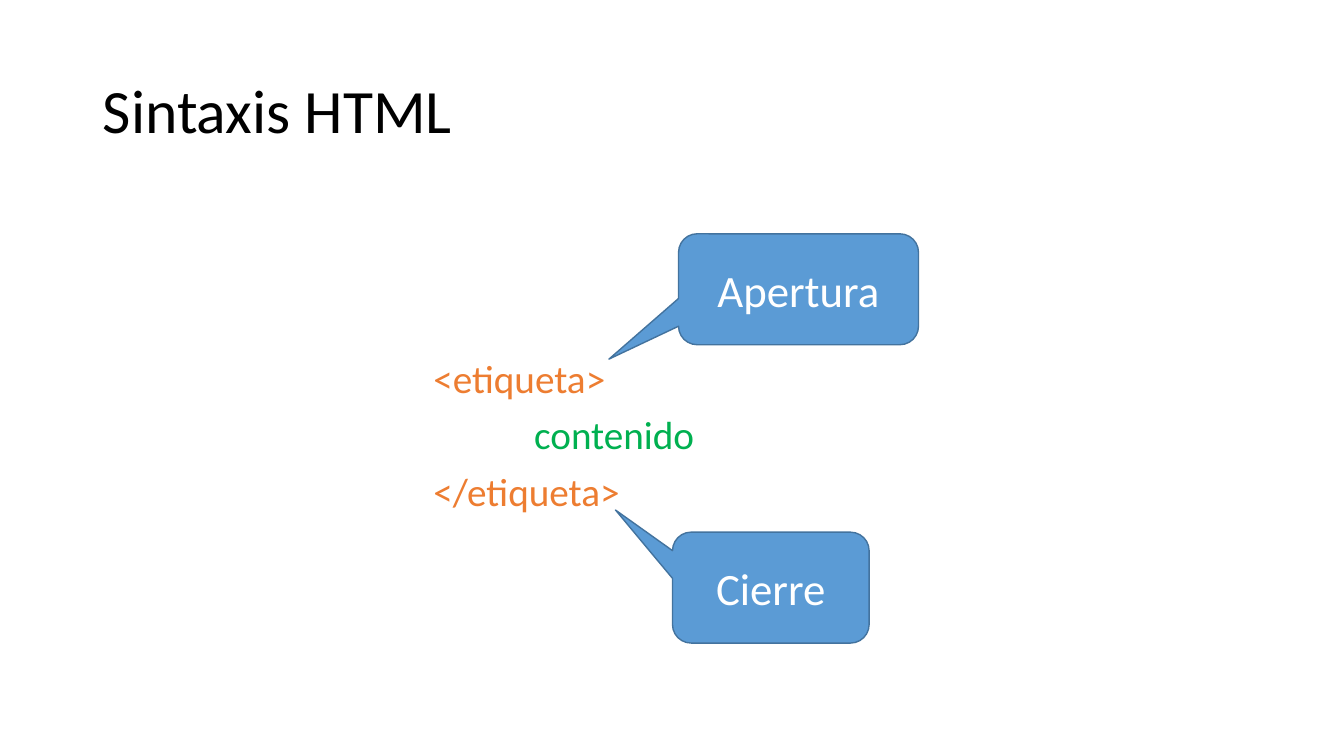
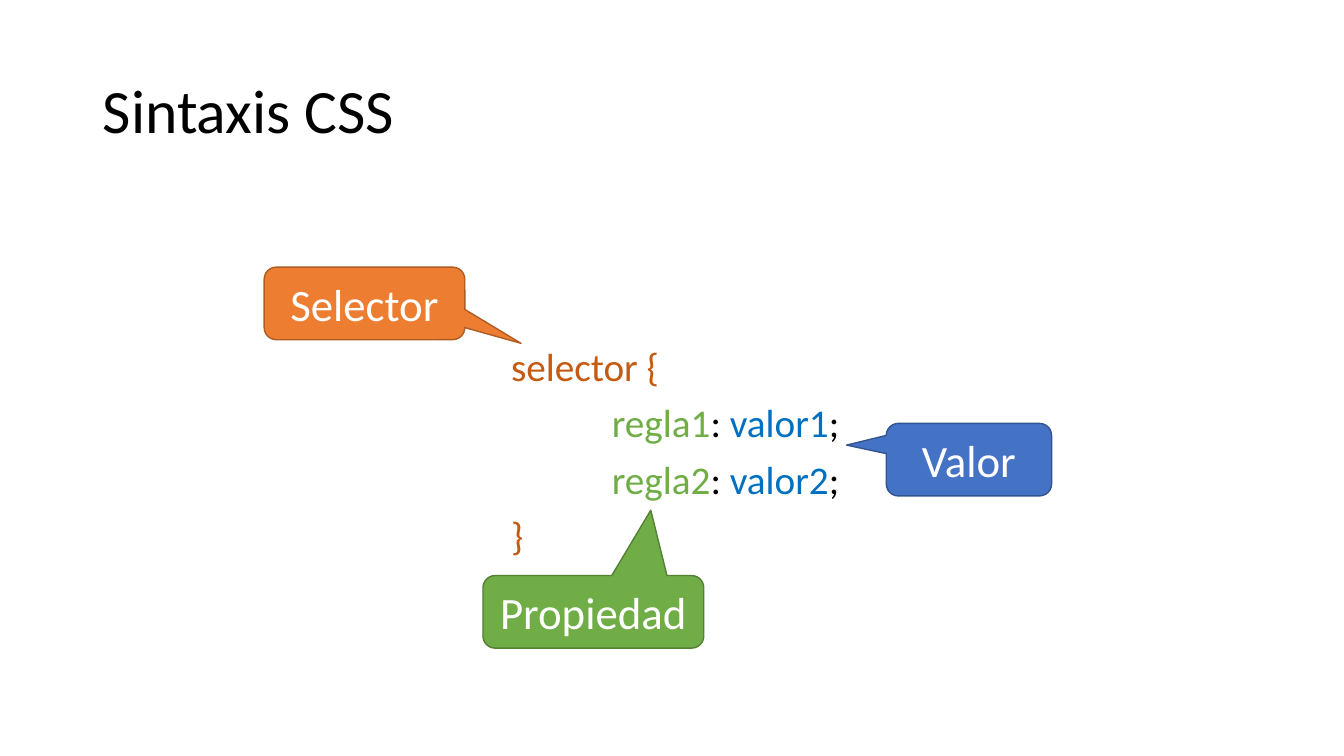
"""Build two slides that explain HTML and CSS syntax with callouts."""
from dataclasses import dataclass

from pptx import Presentation
from pptx.dml.color import RGBColor
from pptx.enum.shapes import MSO_SHAPE
from pptx.enum.text import MSO_ANCHOR, MSO_AUTO_SIZE, PP_ALIGN
from pptx.presentation import Presentation as Deck
from pptx.slide import Slide
from pptx.util import Inches, Pt

CALLOUT_SHAPE = MSO_SHAPE.ROUNDED_RECTANGULAR_CALLOUT
MIDDLE = MSO_ANCHOR.MIDDLE
LEFT, CENTER = PP_ALIGN.LEFT, PP_ALIGN.CENTER
NO_AUTO_SIZE = MSO_AUTO_SIZE.NONE

FONT = "Calibri"
TITLE_ONLY = 5
CORNER = 0.167
BLACK = RGBColor(0x00, 0x00, 0x00)
WHITE = RGBColor(0xFF, 0xFF, 0xFF)
SKY, SKY_EDGE = RGBColor(0x5B, 0x9B, 0xD5), RGBColor(0x43, 0x73, 0x9E)
ORANGE, ORANGE_EDGE = RGBColor(0xED, 0x7D, 0x31), RGBColor(0xAF, 0x5C, 0x24)
BLUE, BLUE_EDGE = RGBColor(0x44, 0x72, 0xC4), RGBColor(0x32, 0x54, 0x91)
GREEN, GREEN_EDGE = RGBColor(0x70, 0xAD, 0x47), RGBColor(0x53, 0x80, 0x35)
CONTENT_GREEN = RGBColor(0x00, 0xB0, 0x50)
SELECTOR_BROWN = RGBColor(0xC5, 0x5A, 0x11)
VALUE_BLUE = RGBColor(0x00, 0x70, 0xC0)


@dataclass(frozen=True)
class Box:
    left: float
    top: float
    width: float
    height: float

    def lengths(self) -> tuple[Inches, ...]:
        return tuple(map(Inches, (self.left, self.top, self.width, self.height)))


@dataclass(frozen=True)
class Span:
    text: str
    color: RGBColor


@dataclass(frozen=True)
class CodeLine:
    spans: tuple[Span, ...]
    indented: bool = False


@dataclass(frozen=True)
class Callout:
    text: str
    box: Box
    tip: tuple[float, float]
    fill: RGBColor
    edge: RGBColor


@dataclass(frozen=True)
class SyntaxSlide:
    title: str
    code_box: Box
    code: tuple[CodeLine, ...]
    callouts: tuple[Callout, ...]


TITLE_BOX = Box(0.92, 0.4, 11.5, 1.45)


def rule_line(number: int) -> CodeLine:
    return CodeLine((
        Span(f"regla{number}", GREEN),
        Span(": ", BLACK),
        Span(f"valor{number}", VALUE_BLUE),
        Span(";", BLACK),
    ), indented=True)


SLIDES = (
    SyntaxSlide(
        "Sintaxis HTML",
        Box(4.2, 3.52, 3.16, 1.76),
        (
            CodeLine((Span("<etiqueta>", ORANGE),)),
            CodeLine((Span("contenido", CONTENT_GREEN),), indented=True),
            CodeLine((Span("</etiqueta>", ORANGE),)),
        ),
        (
            Callout("Apertura", Box(6.73, 2.32, 2.38, 1.1), (-0.79, 0.63), SKY, SKY_EDGE),
            Callout("Cierre", Box(6.67, 5.28, 1.95, 1.1), (-0.79, -0.7), SKY, SKY_EDGE),
        ),
    ),
    SyntaxSlide(
        "Sintaxis CSS",
        Box(4.97, 3.4, 3.82, 2.31),
        (
            CodeLine((Span("selector {", SELECTOR_BROWN),)),
            rule_line(1),
            rule_line(2),
            CodeLine((Span("}", SELECTOR_BROWN),)),
        ),
        (
            Callout("Selector", Box(2.62, 2.65, 1.99, 0.72), (0.78, 0.55), ORANGE, ORANGE_EDGE),
            Callout("Valor", Box(8.79, 4.2, 1.64, 0.72), (-0.74, -0.2), BLUE, BLUE_EDGE),
            Callout("Propiedad", Box(4.79, 5.71, 2.19, 0.72), (0.26, -1.4), GREEN, GREEN_EDGE),
        ),
    ),
)


def format_run(run, size: int, color: RGBColor) -> None:
    run.font.name = FONT
    run.font.size = Pt(size)
    run.font.color.rgb = color


def set_title(page: Slide, text: str) -> None:
    title = page.shapes.title
    title.left, title.top, title.width, title.height = TITLE_BOX.lengths()
    frame = title.text_frame
    frame.text = text
    frame.auto_size = NO_AUTO_SIZE
    frame.vertical_anchor = MIDDLE
    para = frame.paragraphs[0]
    para.alignment = LEFT
    para.line_spacing = 0.9
    format_run(para.runs[0], 44, BLACK)


def add_code(page: Slide, box: Box, lines: tuple[CodeLine, ...]) -> None:
    frame = page.shapes.add_textbox(*box.lengths()).text_frame
    frame.word_wrap = True
    for index, line in enumerate(lines):
        para = frame.add_paragraph() if index else frame.paragraphs[0]
        para.line_spacing = 0.9
        para.space_before = Pt(10)
        if line.indented:
            para._p.get_or_add_pPr().set("marL", str(Inches(1)))
        for span in line.spans:
            run = para.add_run()
            run.text = span.text
            format_run(run, 28, span.color)


def add_callout(page: Slide, callout: Callout) -> None:
    shape = page.shapes.add_shape(CALLOUT_SHAPE, *callout.box.lengths())
    for index, value in enumerate((*callout.tip, CORNER)):
        shape.adjustments[index] = value
    shape.shadow.inherit = False
    shape.fill.solid()
    shape.fill.fore_color.rgb = callout.fill
    shape.line.color.rgb = callout.edge
    shape.line.width = Pt(1)
    frame = shape.text_frame
    frame.text = callout.text
    frame.word_wrap = True
    frame.vertical_anchor = MIDDLE
    para = frame.paragraphs[0]
    para.alignment = CENTER
    format_run(para.runs[0], 32, WHITE)


def add_syntax_slide(deck: Deck, content: SyntaxSlide) -> None:
    page = deck.slides.add_slide(deck.slide_layouts[TITLE_ONLY])
    set_title(page, content.title)
    add_code(page, content.code_box, content.code)
    for callout in content.callouts:
        add_callout(page, callout)


def main() -> None:
    deck = Presentation()
    deck.slide_width, deck.slide_height = Inches(13.33), Inches(7.5)
    for content in SLIDES:
        add_syntax_slide(deck, content)
    deck.save("out.pptx")


if __name__ == "__main__":
    main()
